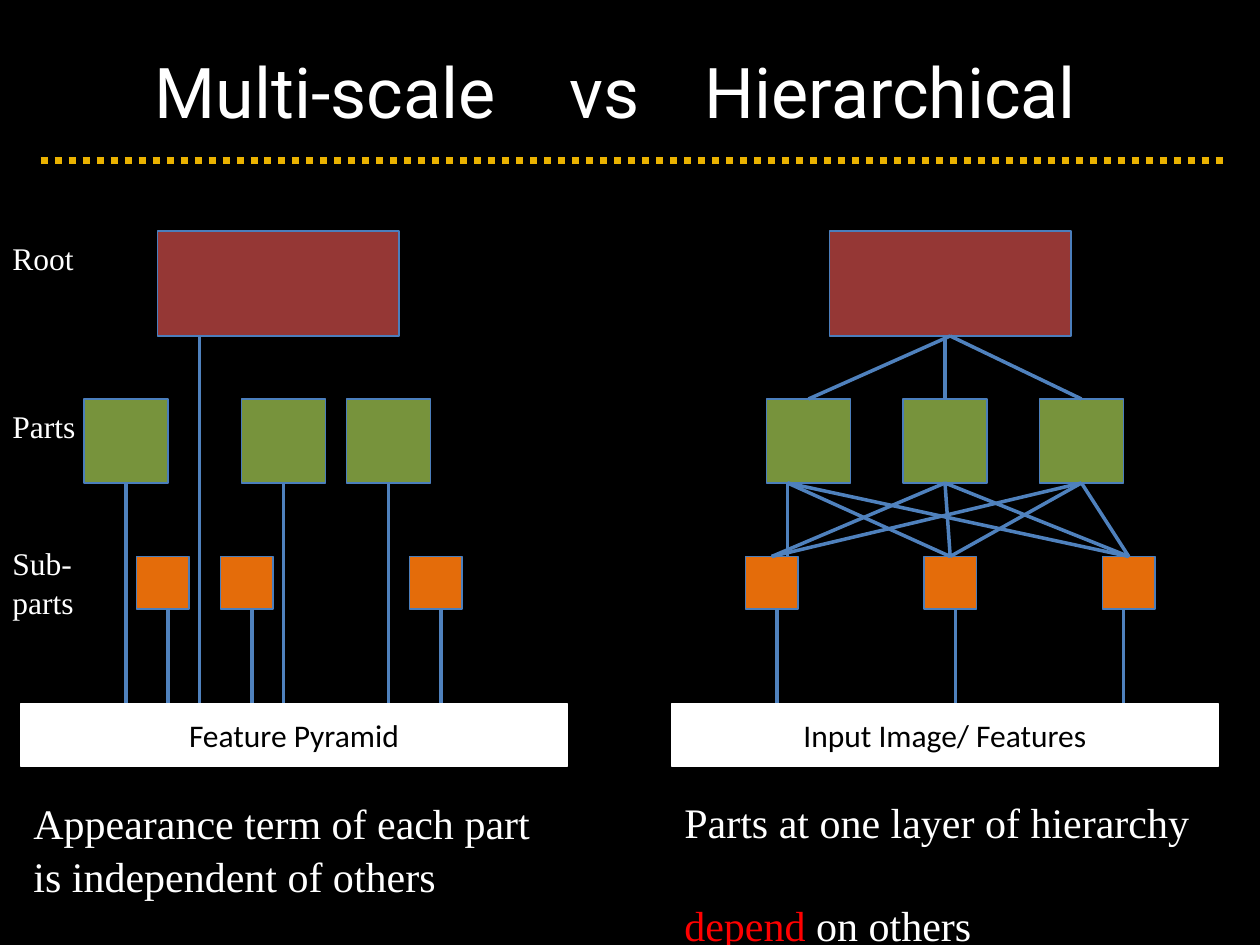
from lxml import etree
from pptx import Presentation, util as u
from pptx.dml.color import RGBColor
from pptx.enum import dml, shapes, text
from pptx.oxml import ns

PX = 9525  # 96 px to the inch
rgb = RGBColor.from_string
SERIF = "Times New Roman"


def draw_block(parent, left, top, width, height, fill, outline):
    block = parent.add_shape(shapes.MSO_SHAPE.RECTANGLE,
                             left * PX, top * PX, width * PX, height * PX)
    block.fill.solid()
    block.fill.fore_color.rgb = rgb(fill)
    block.line.color.rgb = rgb(outline)
    block.line.width = u.Pt(0.75)
    block.shadow.inherit = False
    return block


def draw_line(parent, x1, y1, x2, y2, color, width):
    """Add a straight connector without the theme's shadow."""
    line = parent.add_connector(shapes.MSO_CONNECTOR.STRAIGHT,
                                x1 * PX, y1 * PX, x2 * PX, y2 * PX)
    line.line.color.rgb = rgb(color)
    line.line.width = u.Pt(width)
    etree.SubElement(line._element.spPr, ns.qn("a:effectLst"))
    return line


deck = Presentation()
deck.slide_width, deck.slide_height = 960 * PX, 720 * PX
slide = deck.slides.add_slide(deck.slide_layouts[5])
slide.background.fill.solid()
slide.background.fill.fore_color.rgb = rgb("000000")

# Title: three words set on tab stops
title = slide.shapes.title
title.left, title.top, title.width, title.height = 40 * PX, 9 * PX, 864 * PX, 120 * PX
heading = title.text_frame
heading.text = "Multi-scale\tvs\tHierarchical"
heading.margin_left = 78 * PX
heading.auto_size = text.MSO_AUTO_SIZE.NONE
heading.vertical_anchor = text.MSO_ANCHOR.MIDDLE
words = heading.paragraphs[0]
words.alignment = text.PP_ALIGN.LEFT
stops = etree.SubElement(words._p.get_or_add_pPr(), ns.qn("a:tabLst"))
for stop in (316, 419):
    etree.SubElement(stops, ns.qn("a:tab"), pos=str(stop * PX), algn="l")
words.font.name, words.font.size = "Roboto", u.Pt(40)
words.font.color.rgb = rgb("FFFFFF")

divider = draw_line(slide.shapes, 31, 122, 936, 122, "EAB200", 4)
divider.line.dash_style = dml.MSO_LINE.ROUND_DOT

# Levels of both models: top, width, height, fill
ROOT = (176, 184, 80, "953735")
PART = (304, 64, 64, "77933C")
SUBPART = (424, 40, 40, "E46C0A")
ROOT_END, PART_END, SUBPART_END, BASE = 256, 368, 464, 536

# Multi-scale: every block reaches the base on its own
multi_scale = [(ROOT, [120]), (PART, [64, 184, 264]), (SUBPART, [104, 168, 312])]
multi_links = [(x, end, x, BASE) for end, xs in
               [(ROOT_END, [152]), (PART_END, [96, 216, 296]),
                (SUBPART_END, [128, 192, 336])] for x in xs]

# Hierarchical: each level is linked to the next
hierarchical = [(ROOT, [632]), (PART, [584, 688, 792]), (SUBPART, [568, 704, 840])]
tree_links = [(724, ROOT_END, 616, 304), (720, ROOT_END, 720, 304),
              (724, ROOT_END, 824, 304), (600, PART_END, 600, 424)]
tree_links += [(part, PART_END, subpart, 424) for part in (600, 720, 824)
               for subpart in (588, 724, 860) if (part, subpart) != (600, 588)]
tree_links += [(x, SUBPART_END, x, BASE) for x in (592, 728, 856)]

for levels, links, base_left, base_name in (
        (hierarchical, tree_links, 512, "Input Image/ Features"),
        (multi_scale, multi_links, 16, "Feature Pyramid")):
    model = slide.shapes.add_group_shape().shapes
    for (top, width, height, fill), lefts in levels:
        for left in lefts:
            draw_block(model, left, top, width, height, fill, "4B7EBC")
    base = draw_block(model, base_left, BASE, 416, 48, "FFFFFF", "FFFFFF")
    base.text_frame.text = base_name
    base.text_frame.vertical_anchor = text.MSO_ANCHOR.MIDDLE
    label = base.text_frame.paragraphs[0]
    label.alignment = text.PP_ALIGN.CENTER
    label.font.name, label.font.size = "Calibri", u.Pt(18)
    label.font.color.rgb = rgb("000000")
    for link in links:
        draw_line(model, *link, "4F81BD", 2)

# Level names and captions: left, top, width, height, size, wording
for left, top, width, height, size, wording in (
        (0, 176, 69, 38, 18, "Root"),
        (0, 304, 68, 38, 18, "Parts"),
        (0, 408, 67, 68, 18, "Sub-\vparts"),
        (16, 601, 404, 87, 24, "Appearance term of each part\vis independent of others"),
        (512, 600, 406, 87, 24, "Parts at one layer of hierarchy\ndepend on others")):
    note = slide.shapes.add_textbox(left * PX, top * PX, width * PX, height * PX).text_frame
    note.word_wrap = False
    note.text = wording
    for paragraph in note.paragraphs:
        paragraph.line_spacing = 1.05
        paragraph.font.name, paragraph.font.size = SERIF, u.Pt(size)
        paragraph.font.color.rgb = rgb("FFFFFF")

# The last caption stresses its first word on a lower line
stressed = note.paragraphs[1]
stressed.space_before = u.Pt(29)
stressed.runs[0].text = "depend"
stressed.runs[0].font.color.rgb = rgb("FF0000")
stressed.add_run().text = " on others"

deck.save("out.pptx")
